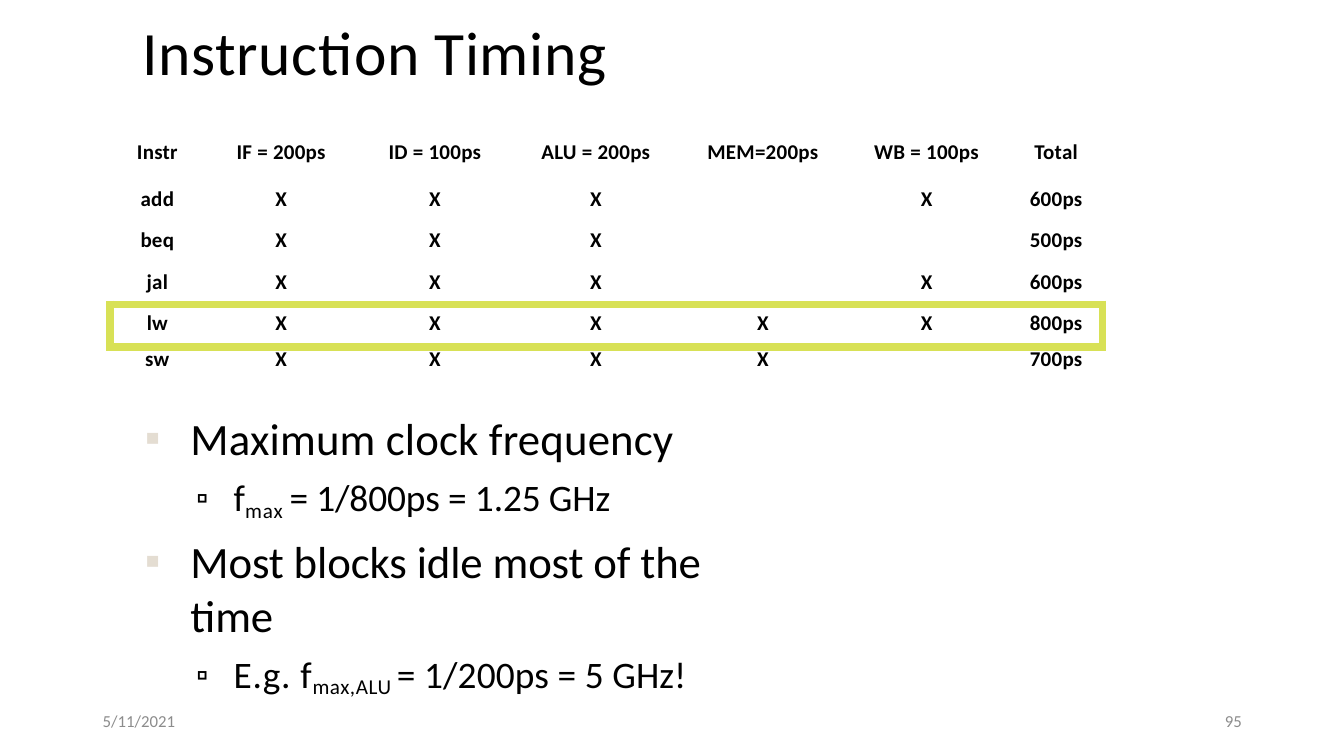
from lxml import etree
from pptx import Presentation
from pptx.dml.color import RGBColor
from pptx.enum.text import MSO_ANCHOR, PP_ALIGN
from pptx.oxml.ns import qn
from pptx.util import Cm, Pt

LEFT, CENTER, RIGHT = PP_ALIGN.LEFT, PP_ALIGN.CENTER, PP_ALIGN.RIGHT
TOP, MIDDLE = MSO_ANCHOR.TOP, MSO_ANCHOR.MIDDLE
FONT = "Calibri"
BLACK, GREY, SAND, LIME = "000000", "8C8C8C", "E4DDD2", "D8E156"
PLAIN_TABLE = "{2D5ABB26-0587-4C30-8999-92F81FD0307C}"

COL_WIDTHS = [2.39, 3.85, 3.85, 4.26, 4.21, 3.99, 2.46]
COL_INDENTS = [0, 0, 0.05, 0.05, 0, 0.05, 0.13]
ROW_HEIGHTS = [1.04, 1.04, 1.04, 1.04, 1.07, 0.81]
TOP_MARGINS = [0, 0.15, 0.15, 0.15, 0.15, 0]
TIMINGS = [
    ["Instr", "IF = 200ps", "ID = 100ps", "ALU = 200ps", "MEM=200ps", "WB = 100ps", "Total"],
    ["add", "X", "X", "X", "", "X", "600ps"],
    ["beq", "X", "X", "X", "", "", "500ps"],
    ["jal", "X", "X", "X", "", "X", "600ps"],
    ["lw", "X", "X", "X", "X", "X", "800ps"],
    ["sw", "X", "X", "X", "X", "", "700ps"],
]
CRITICAL_ROW = 4

BULLETS = [
    (0, 0, [("Maximum clock frequency", dict(spc=0.1))]),
    (1, 6.9, [("f", dict(spc=-0.2)), ("max ", dict(size=26, spc=0.7, base=-17)),
              ("= 1/800ps = 1.25 GHz", dict(spc=-0.1))]),
    (0, 8.1, [("Most blocks idle most of the time", dict(spc=-0.1))]),
    (1, 6.9, [("E.g. f", dict(spc=0.45)), ("max,ALU ", dict(size=26, spc=0.4, base=-17)),
              ("= 1/200ps = 5 GHz!", dict(spc=0.05))]),
]
BULLET_LEVELS = [
    dict(size=32, margin=1.27, indent=-1.14, char="▪", scale=96, color=SAND),
    dict(size=26.7, margin=2.36, indent=-0.94, char="▫", scale=90, color=BLACK),
]


def rgb(value):
    """Return the colour for a hex string."""
    return RGBColor.from_string(value)


def add_text(p, text, size=18, color=BLACK, bold=False, spc=0, base=0):
    """Add a formatted run to a paragraph."""
    r = p.add_run()
    r.text = text
    r.font.name, r.font.size, r.font.bold = FONT, Pt(size), bold
    r.font.color.rgb = rgb(color)
    rPr = r.font._element
    if spc:
        rPr.set("spc", str(round(spc * 100)))
    if base:
        rPr.set("baseline", str(base * 1000))


def add_box(s, box, anchor=TOP, margins=(0, 0, 0, 0)):
    """Add a wrapping text box and return its text frame."""
    tf = s.shapes.add_textbox(*[Cm(v) for v in box]).text_frame
    tf.word_wrap = True
    tf.vertical_anchor = anchor
    tf.margin_left, tf.margin_top, tf.margin_right, tf.margin_bottom = [Cm(v) for v in margins]
    return tf


def add_bullet(p, margin, indent, char, scale, color):
    """Give a paragraph a hanging bullet."""
    pPr = p._p.get_or_add_pPr()
    pPr.set("marL", str(Cm(margin)))
    pPr.set("indent", str(Cm(indent)))
    clr = etree.SubElement(pPr, qn("a:buClr"))
    etree.SubElement(clr, qn("a:srgbClr"), val=color)
    etree.SubElement(pPr, qn("a:buSzPct"), val=str(scale * 1000))
    etree.SubElement(pPr, qn("a:buFont"), typeface=FONT)
    etree.SubElement(pPr, qn("a:buChar"), char=char)


def add_border(cell, sides):
    """Draw thick highlight borders on the named sides of a cell."""
    tcPr = cell._tc.get_or_add_tcPr()
    for i, side in enumerate(sides):
        ln = etree.Element(qn("a:ln" + side), w=str(Pt(6)))
        fill = etree.SubElement(ln, qn("a:solidFill"))
        etree.SubElement(fill, qn("a:srgbClr"), val=LIME)
        tcPr.insert(i, ln)


def critical_sides(row, col):
    """Return the sides of a cell that touch the critical row's frame."""
    if row == CRITICAL_ROW:
        left = ["L"] if col == 0 else []
        right = ["R"] if col == len(COL_WIDTHS) - 1 else []
        return left + right + ["T", "B"]
    return {CRITICAL_ROW - 1: ["B"], CRITICAL_ROW + 1: ["T"]}.get(row, [])


def title(s, box):
    """Place the slide title."""
    tf = add_box(s, box, MIDDLE, (0.05, 0.05, 0, 0))
    add_text(tf.paragraphs[0], "Instruction Timing", size=44, spc=0.45)


def timing_table(s, left, top):
    """Place the table of stage timings."""
    table = s.shapes.add_table(len(ROW_HEIGHTS), len(COL_WIDTHS), Cm(left), Cm(top),
                               Cm(sum(COL_WIDTHS)), Cm(sum(ROW_HEIGHTS))).table
    table.first_row = table.horz_banding = False
    table._tbl.tblPr.find(qn("a:tableStyleId")).text = PLAIN_TABLE
    for col, width in zip(table.columns, COL_WIDTHS):
        col.width = Cm(width)
    for i, row in enumerate(table.rows):
        row.height = Cm(ROW_HEIGHTS[i])
        for j, cell in enumerate(row.cells):
            cell.fill.background()
            cell.margin_left = cell.margin_right = cell.margin_bottom = 0
            cell.margin_top = Cm(TOP_MARGINS[i])
            p = cell.text_frame.paragraphs[0]
            p.alignment = CENTER
            p._p.get_or_add_pPr().set("marL", str(Cm(COL_INDENTS[j])))
            add_text(p, TIMINGS[i][j], size=15, bold=True, spc=0.2)
            add_border(cell, critical_sides(i, j))


def clock_notes(s, box):
    """Place the bulleted notes on clock frequency."""
    tf = add_box(s, box, margins=(0, 0.33, 0, 0))
    for i, (level, before, runs) in enumerate(BULLETS):
        p = tf.add_paragraph() if i else tf.paragraphs[0]
        style = dict(BULLET_LEVELS[level])
        size = style.pop("size")
        add_bullet(p, **style)
        p.level = level
        if before:
            p.space_before = Pt(before)
        for text, fmt in runs:
            add_text(p, text, **{"size": size, **fmt})


def footer(s, box, text, align):
    """Place one footer field."""
    p = add_box(s, box, MIDDLE, (0.25, 0.13, 0.25, 0.13)).paragraphs[0]
    p.alignment = align
    add_text(p, text, size=12, color=GREY)


def main():
    """Build and save the slide."""
    prs = Presentation()
    prs.slide_width, prs.slide_height = Cm(33.87), Cm(19.05)
    s = prs.slides.add_slide(prs.slide_layouts[6])
    clock_notes(s, (3.53, 10.03, 15.95, 6.15))
    title(s, (3.53, 0.3, 17.65, 1.93))
    timing_table(s, 2.77, 3.51)
    footer(s, (2.34, 17.65, 7.62, 1.02), "5/11/2021", LEFT)
    footer(s, (23.93, 17.65, 7.62, 1.02), "95", RIGHT)
    prs.save("out.pptx")


if __name__ == "__main__":
    main()
